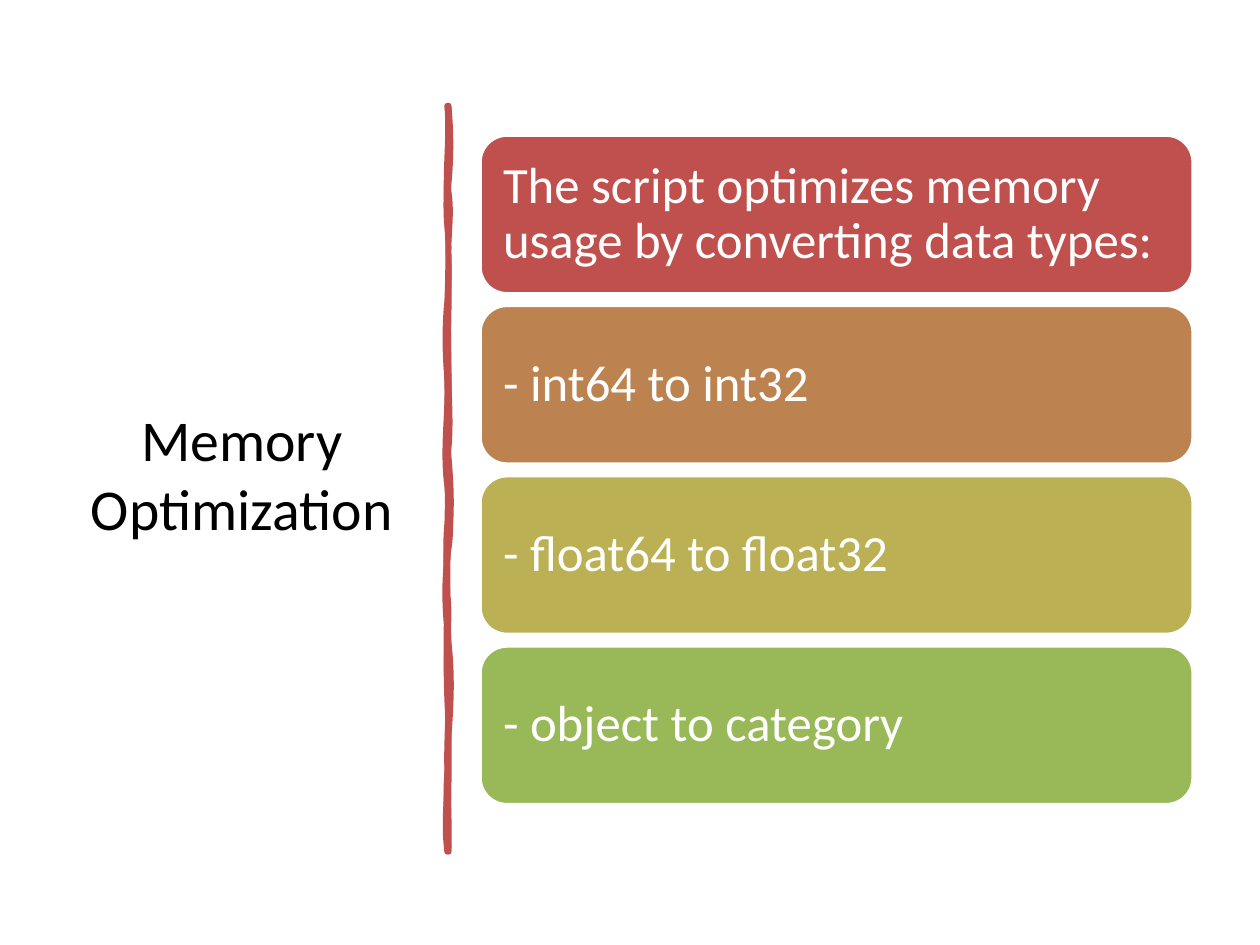
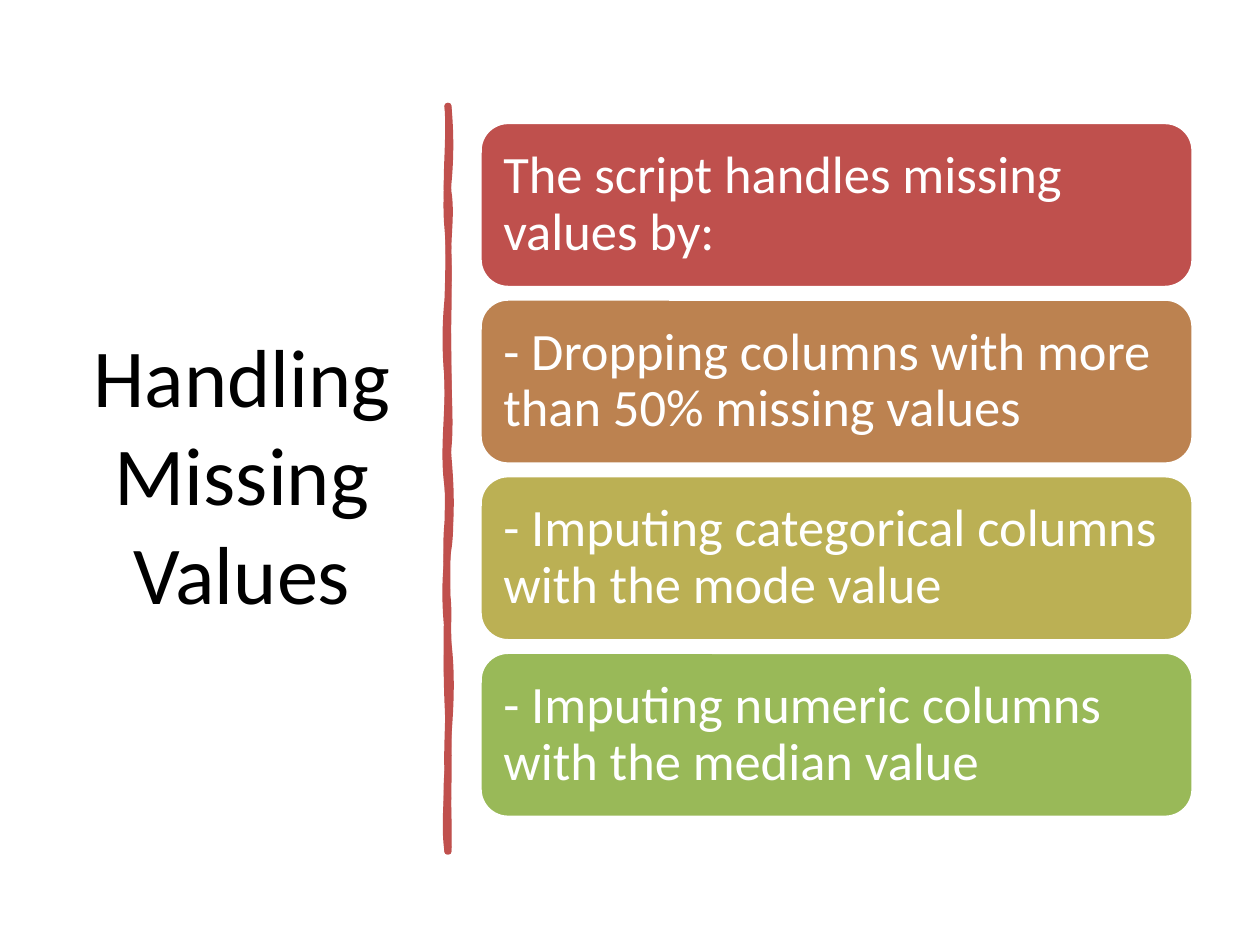
import pptx
import pptx.dml.color
import pptx.enum.shapes
import pptx.enum.text
import pptx.oxml.ns
import pptx.util
import lxml.etree

WIDE = pptx.util.Inches(10)
HIGH = pptx.util.Inches(7.5)
FONT = "Calibri"
BLACK, WHITE, RED = "000000", "FFFFFF", "C0504D"
FILLS = ["BF504D", "BC8250", "BBB054", "99B958"]
LEFT, SPAN, GAP, MID = 38.1, 56.6, 1.22, 49.73
NEAR, FAR, SHIFT = 50.6, 50.73, 2.45

STROKES = [
    [
        (NEAR, [11.2, 19.47, 30.13, 39.2, 47.47, 58.13, 68, 77.87, 90.13],
         [(2, 2), (-2, 1), (-1, 0), (0, 2), (-2, 4), (-4, -3), (3, 2), (-2, 1)]),
        (FAR, [90.13, 81.73, 74.27, 63.6, 55.33, 44.67, 33.33, 24.13, 11.2],
         [(1, -2), (1, 1), (-1, -1), (0, -2), (1, -1), (1, -2), (1, 2), (-3, 4)]),
    ],
    [
        (NEAR, [11.2, 20.27, 27.73, 39.2, 48.27, 57.33, 68.8, 77.07, 90.13],
         [(1, -2), (3, -1), (1, -1), (1, -2), (2, 3), (-2, 0), (0, -1), (1, -1)]),
        (FAR, [90.13, 81.73, 71.87, 62.8, 51.47, 40, 31.73, 21.87, 11.2],
         [(-3, 0), (-1, 2), (-2, 3), (-3, 3), (-4, 1), (-2, -2), (1, 1), (-2, 2)]),
    ],
]

SLIDES = [
    ("Memory Optimization", 33, 16.8, 29, [
        "The script optimizes memory usage by converting data types:",
        "- int64 to int32",
        "- float64 to float32",
        "- object to category",
    ]),
    ("Handling Missing Values", 47, 17.47, 30, [
        "The script handles missing values by:",
        "- Dropping columns with more than 50% missing values",
        "- Imputing categorical columns with the mode value",
        "- Imputing numeric columns with the median value",
    ]),
]


def across(share):
    """Turn a percent of the slide width into a length."""
    return pptx.util.Emu(round(WIDE * share / 100))


def down(share):
    """Turn a percent of the slide height into a length."""
    return pptx.util.Emu(round(HIGH * share / 100))


def tint(color, code):
    """Give a colour format a hex value."""
    color.rgb = pptx.dml.color.RGBColor.from_string(code)


def paint(shape, fill, line, width):
    """Set the fill and line of a shape and drop its shadow."""
    shape.shadow.inherit = False
    shape.fill.solid()
    tint(shape.fill.fore_color, fill)
    tint(shape.line.color, line)
    shape.line.width = pptx.util.Pt(width)


def write(shape, text, size, code, align):
    """Put one middle-anchored paragraph in a shape."""
    frame = shape.text_frame
    frame.text = text
    frame.word_wrap = True
    frame.auto_size = pptx.enum.text.MSO_AUTO_SIZE.NONE
    frame.vertical_anchor = pptx.enum.text.MSO_ANCHOR.MIDDLE
    para = frame.paragraphs[0]
    para.alignment = align
    para.font.name = FONT
    para.font.size = pptx.util.Pt(size)
    tint(para.font.color, code)
    return frame


def add_title(slide, text, size):
    """Place and format the title at the left."""
    title = slide.shapes.title
    title.left, title.top = across(5.2), down(9.33)
    title.width, title.height = across(28), down(81.47)
    write(title, text, size, BLACK, pptx.enum.text.PP_ALIGN.CENTER)


def trace(sides):
    """List the knots of a stroke, laid flat."""
    return [(down(knot) - across(SHIFT), down(level))
            for level, knots, bends in sides for knot in knots]


def curve(line, start, bends):
    """Turn a straight piece into a curve that bends off its line."""
    end = line[0]
    for step, bend in enumerate(bends, 1):
        spot = [round(int(start.get(key)) + (int(end.get(key)) - int(start.get(key))) * step / 3)
                for key in ("x", "y")]
        point = lxml.etree.Element(end.tag, x=str(spot[0]), y=str(spot[1] - across(bend / 10)))
        line.insert(step - 1, point)
    line.tag = pptx.oxml.ns.qn("a:cubicBezTo")


def add_rule(slide):
    """Draw the hand-drawn rule flat and turn it upright."""
    first, second = map(trace, STROKES)
    pen = slide.shapes.build_freeform(*first[0])
    pen.add_line_segments(first[1:])
    pen.move_to(*second[0])
    pen.add_line_segments(second[1:])
    rule = pen.convert_to_shape()
    rule.rotation = 90
    paint(rule, RED, RED, 3.25)
    plan = []
    for right, left in STROKES:
        plan += [None, *right[2], None, *left[2], None]
    last = None
    for piece, bends in zip(rule.element.xpath(".//a:path/*"), plan):
        if bends:
            curve(piece, last, bends)
        if len(piece):
            last = piece[-1]


def add_card(slide, top, height, text, size, fill):
    """Add one rounded card with its text."""
    card = slide.shapes.add_shape(
        pptx.enum.shapes.MSO_SHAPE.ROUNDED_RECTANGLE,
        across(LEFT), down(top), across(SPAN), down(height))
    card.adjustments[0] = 0.17
    paint(card, fill, WHITE, 2)
    frame = write(card, text, size, WHITE, pptx.enum.text.PP_ALIGN.LEFT)
    frame.margin_left = frame.margin_right = across(1.2)
    frame.margin_top = frame.margin_bottom = down(1.6)
    frame.paragraphs[0].line_spacing = 0.9


def add_stack(slide, height, size, lines):
    """Stack the cards evenly about the middle."""
    pitch = height + GAP
    start = MID - (len(lines) * pitch - GAP) / 2
    for row, (text, fill) in enumerate(zip(lines, FILLS)):
        add_card(slide, start + row * pitch, height, text, size, fill)


def main():
    """Build and save the slides."""
    deck = pptx.Presentation()
    deck.slide_width, deck.slide_height = WIDE, HIGH
    for title, title_size, height, size, lines in SLIDES:
        slide = deck.slides.add_slide(deck.slide_layouts.get_by_name("Title Only"))
        add_title(slide, title, title_size)
        add_rule(slide)
        add_stack(slide, height, size, lines)
    deck.save("out.pptx")


if __name__ == "__main__":
    main()
